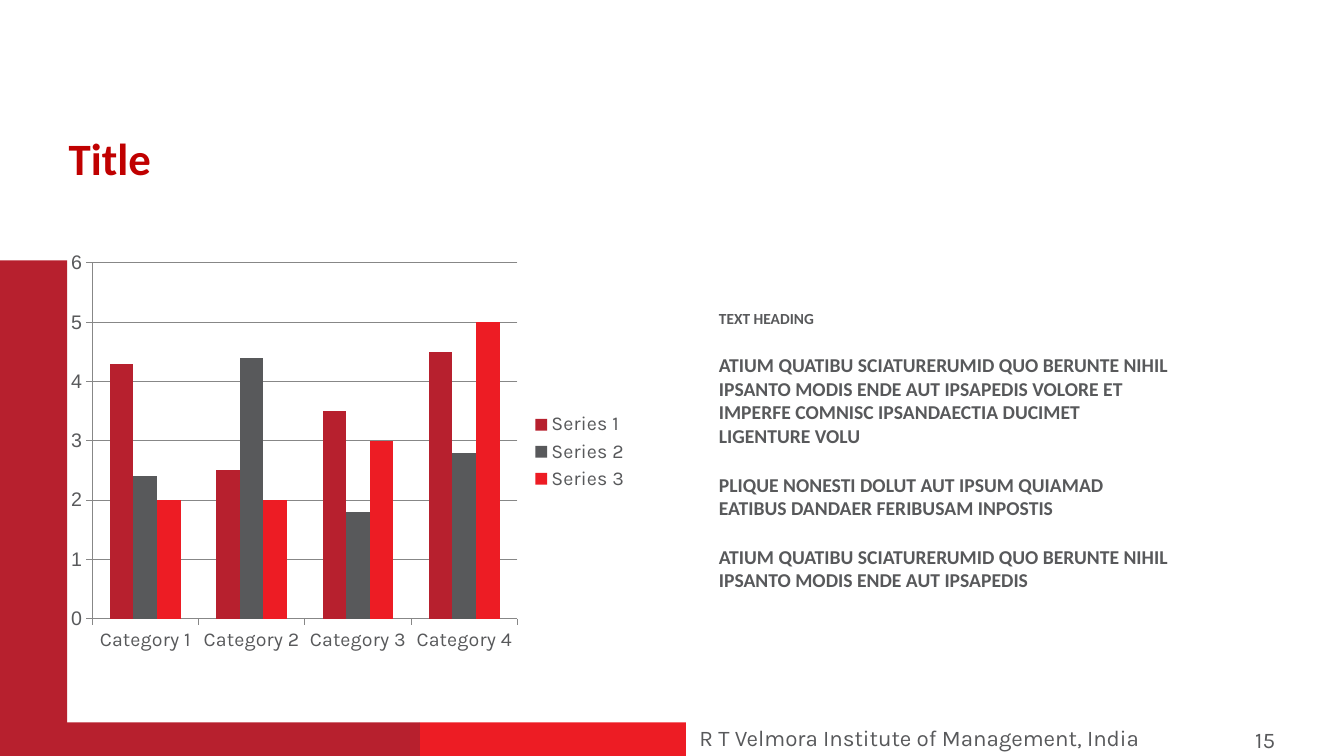
from lxml import etree
from pptx import Presentation
from pptx.chart.data import CategoryChartData
from pptx.dml.color import RGBColor
from pptx.enum.chart import XL_CHART_TYPE as ChartType, XL_LEGEND_POSITION as LegendPosition
from pptx.enum.chart import XL_TICK_MARK as TickMark
from pptx.enum.shapes import MSO_SHAPE as Shape
from pptx.util import Pt

COLORS = {"crimson": "B7202E", "gray": "58595B", "red": "ED1C24", "title": "C00000", "grid": "878787"}
CATEGORIES = ["Category 1", "Category 2", "Category 3", "Category 4"]
SERIES = [
    ("Series 1", (4.3, 2.5, 3.5, 4.5), "crimson"),
    ("Series 2", (2.4, 4.4, 1.8, 2.8), "gray"),
    ("Series 3", (2, 2, 3, 5), "red"),
]
BODY = [
    ("TEXT HEADING", 11),
    ("ATIUM QUATIBU SCIATURERUMID QUO BERUNTE NIHIL IPSANTO MODIS ENDE AUT IPSAPEDIS "
     "VOLORE ET IMPERFE COMNISC IPSANDAECTIA DUCIMET LIGENTURE VOLU", 14),
    ("PLIQUE NONESTI DOLUT AUT IPSUM QUIAMAD EATIBUS DANDAER FERIBUSAM INPOSTIS", 14),
    ("ATIUM QUATIBU SCIATURERUMID QUO BERUNTE NIHIL IPSANTO MODIS ENDE AUT IPSAPEDIS", 14),
]


def color(name):
    """Return the named colour."""
    return RGBColor.from_string(COLORS[name])


def style_font(font, size, family, color_name, bold=False):
    """Set size, family, colour and weight of a font."""
    font.size, font.name, font.bold = Pt(size), family, bold
    font.color.rgb = color(color_name)


def add_text(slide, box, lines, family, color_name, bold=False, wrap=True, space_before=0):
    """Add a text box with one paragraph for each (text, size) pair."""
    frame = slide.shapes.add_textbox(*map(Pt, box)).text_frame
    frame.word_wrap = wrap
    for index, (text, size) in enumerate(lines):
        paragraph = frame.add_paragraph() if index else frame.paragraphs[0]
        paragraph.space_before = Pt(space_before)
        run = paragraph.add_run()
        run.text = text
        style_font(run.font, size, family, color_name, bold)
    return frame


def add_bar(slide, box, color_name):
    """Add a plain filled rectangle."""
    shape = slide.shapes.add_shape(Shape.RECTANGLE, *map(Pt, box))
    shape.shadow.inherit = False
    shape.fill.solid()
    shape.fill.fore_color.rgb = color(color_name)
    shape.line.fill.background()


def add_frame(slide, box):
    """Add the coloured bars along the left and bottom edges of the box."""
    left, top, width, height = box
    bottom, thickness, split = top + height, 24, 300
    add_bar(slide, (left, top, 48, height), "crimson")
    add_bar(slide, (left + split, bottom - thickness, width - split, thickness), "red")
    add_bar(slide, (left, bottom - thickness, split, thickness), "crimson")


def add_footer(slide, box):
    """Add the institute name and the slide number."""
    left, top, width, height = box
    number_width = 63
    add_text(slide, (left, top, 366.5, height), [("R T Velmora Institute of Management, India", 16)],
             "Karla", "gray")
    add_text(slide, (left + width - number_width, top + 1.5, number_width, height), [("15", 16)],
             "Karla", "gray")


def add_body(slide, box):
    """Add the heading and its paragraphs."""
    frame = add_text(slide, box, BODY, "Calibri", "gray", bold=True, space_before=18)
    frame.margin_left = frame.margin_right = Pt(9.5)
    frame.margin_top = frame.margin_bottom = Pt(5)


def add_column_chart(slide, box):
    """Add the clustered column chart with its legend."""
    data = CategoryChartData()
    data.categories = CATEGORIES
    for name, values, _ in SERIES:
        data.add_series(name, values)
    chart = slide.shapes.add_chart(ChartType.COLUMN_CLUSTERED, *map(Pt, box), data).chart
    chart.has_title = False
    style_font(chart.font, 14, "Arial", "gray")

    chart.has_legend = True
    chart.legend.position = LegendPosition.RIGHT
    chart.legend.include_in_layout = False
    style_font(chart.legend.font, 14, "Karla", "gray")

    plot = chart.plots[0]
    plot.gap_width, plot.overlap, plot.vary_by_categories = 150, 0, False
    for series, (_, _, color_name) in zip(plot.series, SERIES):
        series.format.fill.solid()
        series.format.fill.fore_color.rgb = color(color_name)

    value_axis = chart.value_axis
    value_axis.minimum_scale, value_axis.maximum_scale, value_axis.major_unit = 0, 6, 1
    value_axis.has_major_gridlines = True
    style_font(chart.category_axis.tick_labels.font, 14, "Karla", "gray")
    for axis in (value_axis, chart.category_axis):
        axis.major_tick_mark = TickMark.OUTSIDE
    for line in (value_axis.major_gridlines.format.line, value_axis.format.line,
                 chart.category_axis.format.line):
        line.color.rgb = color("grid")
        line.width = Pt(0.75)


def main():
    """Build the chart slide and save it."""
    presentation = Presentation()
    presentation.slide_width, presentation.slide_height = Pt(960), Pt(540)
    slide = presentation.slides.add_slide(presentation.slide_layouts[6])
    add_frame(slide, (0, 186, 490, 354))
    add_footer(slide, (492.5, 513.5, 460, 26.5))
    add_body(slide, (504, 216, 342, 198))
    add_column_chart(slide, (42.5, 174, 414, 297.5))
    add_text(slide, (42, 90, 80, 46), [("Title", 32)], "Calibri", "title", bold=True, wrap=False)
    presentation.save("out.pptx")


if __name__ == "__main__":
    main()
